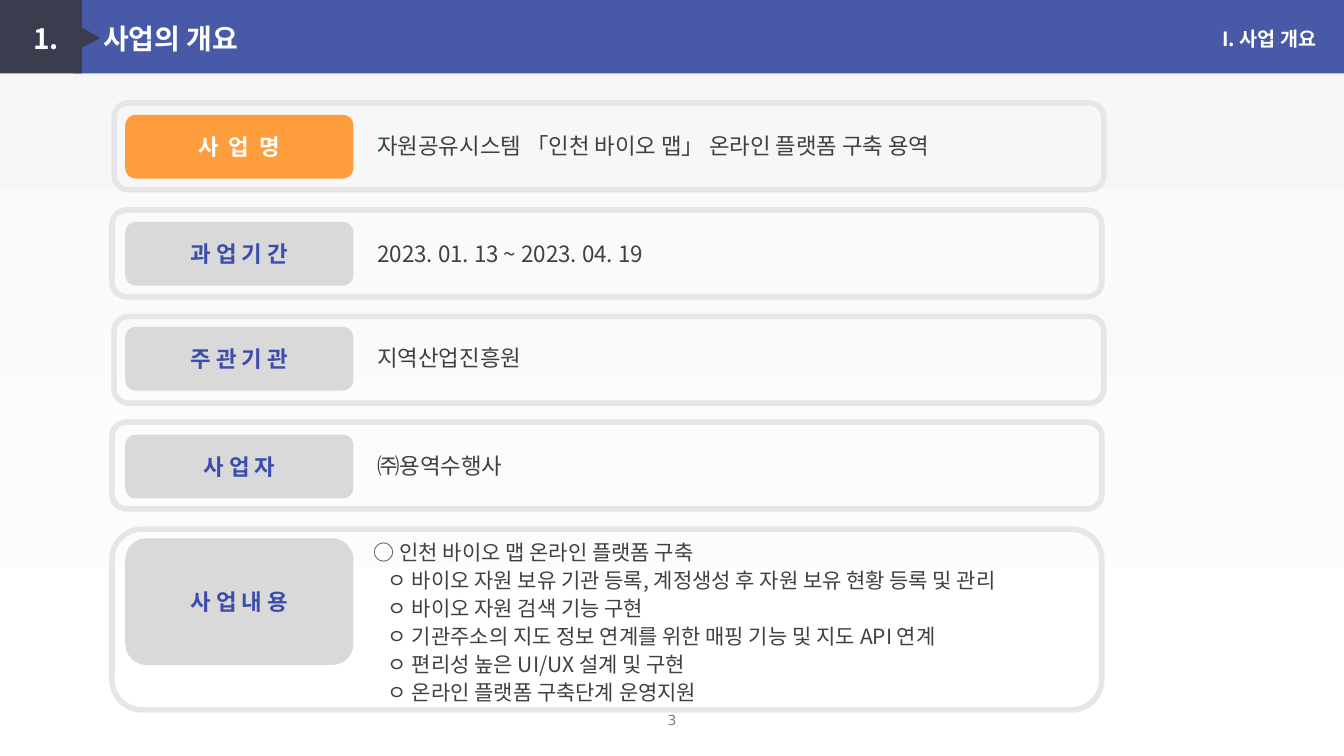
from lxml import etree
from pptx import Presentation
from pptx.dml.color import RGBColor
from pptx.enum.shapes import MSO_SHAPE
from pptx.enum.text import MSO_ANCHOR, MSO_AUTO_SIZE, PP_ALIGN
from pptx.oxml.ns import qn
from pptx.util import Pt

RECT, ROUND, TRIANGLE = MSO_SHAPE.RECTANGLE, MSO_SHAPE.ROUNDED_RECTANGLE, MSO_SHAPE.ISOSCELES_TRIANGLE
LEFT, CENTER, RIGHT = PP_ALIGN.LEFT, PP_ALIGN.CENTER, PP_ALIGN.RIGHT
TOP, MIDDLE = MSO_ANCHOR.TOP, MSO_ANCHOR.MIDDLE
FIT = MSO_AUTO_SIZE.SHAPE_TO_FIT_TEXT

WHITE = RGBColor(0xFF, 0xFF, 0xFF)
PALE = RGBColor(0xF7, 0xF7, 0xF7)
BLUE = RGBColor(0x48, 0x5A, 0xA7)
DARK = RGBColor(0x3A, 0x3D, 0x4E)
FRAME = RGBColor(0xE6, 0xE6, 0xE6)
ORANGE = RGBColor(0xFF, 0x99, 0x33)
GREY = RGBColor(0xD9, 0xD9, 0xD9)
INDIGO = RGBColor(0x3B, 0x4C, 0xAB)
TEXT = RGBColor(0x40, 0x40, 0x40)
MUTED = RGBColor(0x7F, 0x7F, 0x7F)


class Deck:
    font = "Noto Sans CJK KR"

    def __init__(self):
        self.prs = Presentation()
        self.prs.slide_width, self.prs.slide_height = Pt(960), Pt(540)
        self.s = self.prs.slides.add_slide(self.prs.slide_layouts[6])

    def background(self, start, end):
        fill = self.s.background.fill
        fill.gradient()
        fill.gradient_angle = 270
        for stop, color, position in zip(fill.gradient_stops, (start, end), (0, 1)):
            stop.color.rgb = color
            stop.position = position

    def style(self, p, size, color, bold, align, font):
        p.alignment = align
        for r in p.runs:
            r.font.size, r.font.bold, r.font.name = Pt(size), bold, font
            r.font.color.rgb = color
            etree.SubElement(r.font._element, qn("a:ea"), typeface=font)

    def shape(self, kind, x, y, w, h, fill=None, line=None):
        sp = self.s.shapes.add_shape(kind, Pt(x), Pt(y), Pt(w), Pt(h))
        sp.shadow.inherit = False
        if fill is None:
            sp.fill.background()
        else:
            sp.fill.solid()
            sp.fill.fore_color.rgb = fill
        if line is None:
            sp.line.fill.background()
        else:
            sp.line.color.rgb = line
            sp.line.width = Pt(4)
        return sp

    def label(self, text, y, h, fill, color, spacing=0, alpha=100):
        """Rounded row heading; spacing is the letter spacing in points."""
        sp = self.shape(ROUND, 89.5, y, 163, h, fill)
        if alpha < 100:
            solid = sp.fill._xPr.find(qn("a:solidFill"))
            etree.SubElement(solid[0], qn("a:alpha"), val=str(alpha * 1000))
        tf = sp.text_frame
        tf.text = text
        tf.vertical_anchor = MIDDLE
        p = tf.paragraphs[0]
        self.style(p, 16, color, True, CENTER, self.font)
        if spacing:
            p.runs[0].font._element.set("spc", str(int(spacing * 100)))

    def text(self, lines, x, y, w, h, size, color=TEXT, bold=False, align=LEFT,
             font=font, anchor=TOP, leading=None, indent=0, tab=None):
        """Text box; indent applies to every line after the first."""
        tf = self.s.shapes.add_textbox(Pt(x), Pt(y), Pt(w), Pt(h)).text_frame
        tf.word_wrap = True
        tf.auto_size = FIT
        tf.vertical_anchor = anchor
        tf.text = "\n".join(lines)
        for i, p in enumerate(tf.paragraphs):
            pPr = p._p.get_or_add_pPr()
            if i and indent:
                pPr.set("marL", str(Pt(indent)))
            if tab:
                tabs = etree.SubElement(pPr, qn("a:tabLst"))
                etree.SubElement(tabs, qn("a:tab"), pos=str(Pt(tab)), algn="l")
            if leading:
                p.line_spacing = Pt(leading)
            self.style(p, size, color, bold, align, font)


# frame x, frame y, label y, text y, label, text
ROWS = [
    (81.5, 73.5, 82, 90.5, "사 업 명", "자원공유시스템 「인천 바이오 맵」 온라인 플랫폼 구축 용역"),
    (80, 150, 158.5, 168, "과 업 기 간", "2023. 01. 13 ~ 2023. 04. 19"),
    (81.5, 226, 233.5, 242, "주 관 기 관", "지역산업진흥원"),
    (80, 301.5, 310.5, 319.5, "사 업 자", "㈜용역수행사"),
]
CONTENT = [
    "○ 인천 바이오 맵 온라인 플랫폼 구축",
    "ㅇ 바이오 자원 보유 기관 등록, 계정생성 후 자원 보유 현황 등록 및 관리",
    "ㅇ 바이오 자원 검색 기능 구현",
    "ㅇ 기관주소의 지도 정보 연계를 위한 매핑 기능 및 지도 API 연계",
    "ㅇ 편리성 높은 UI/UX 설계 및 구현",
    "ㅇ 온라인 플랫폼 구축단계 운영지원",
]


def main():
    deck = Deck()
    deck.background(PALE, WHITE)

    deck.shape(RECT, 52.5, 0, 907.5, 52.5, BLUE)
    deck.text(["3"], 0, 504.5, 960, 19.5, 10, MUTED, align=CENTER,
              font="DejaVu Sans", anchor=MIDDLE)
    deck.shape(RECT, 0, 0, 58.5, 52.5, DARK)
    deck.shape(TRIANGLE, 52.5, 18, 20, 18, DARK).rotation = 90
    deck.text(["1.\t사업의 개요"], 16.5, 12, 229, 31, 20, WHITE, bold=True, tab=50)
    deck.text(["I. 사업 개요"], 775, 15.5, 172.5, 24.5, 14, WHITE, bold=True, align=RIGHT)

    for i, (x, frame_y, label_y, text_y, label, text) in enumerate(ROWS):
        deck.shape(ROUND, x, frame_y, 707, 62, line=FRAME)
        deck.text([text], 262.5, text_y, 520, 26.5, 16)
        if i == 0:
            deck.label(label, label_y, 45.5, ORANGE, WHITE, spacing=1.8, alpha=95)
        else:
            deck.label(label, label_y, 45.5, GREY, INDIGO)

    deck.shape(ROUND, 80, 378, 707, 129, line=FRAME)
    deck.label("사 업 내 용", 384.5, 90.5, GREY, INDIGO)
    deck.text(CONTENT, 260, 380, 541.5, 127, 15, leading=20, indent=10)

    deck.prs.save("out.pptx")


if __name__ == "__main__":
    main()
